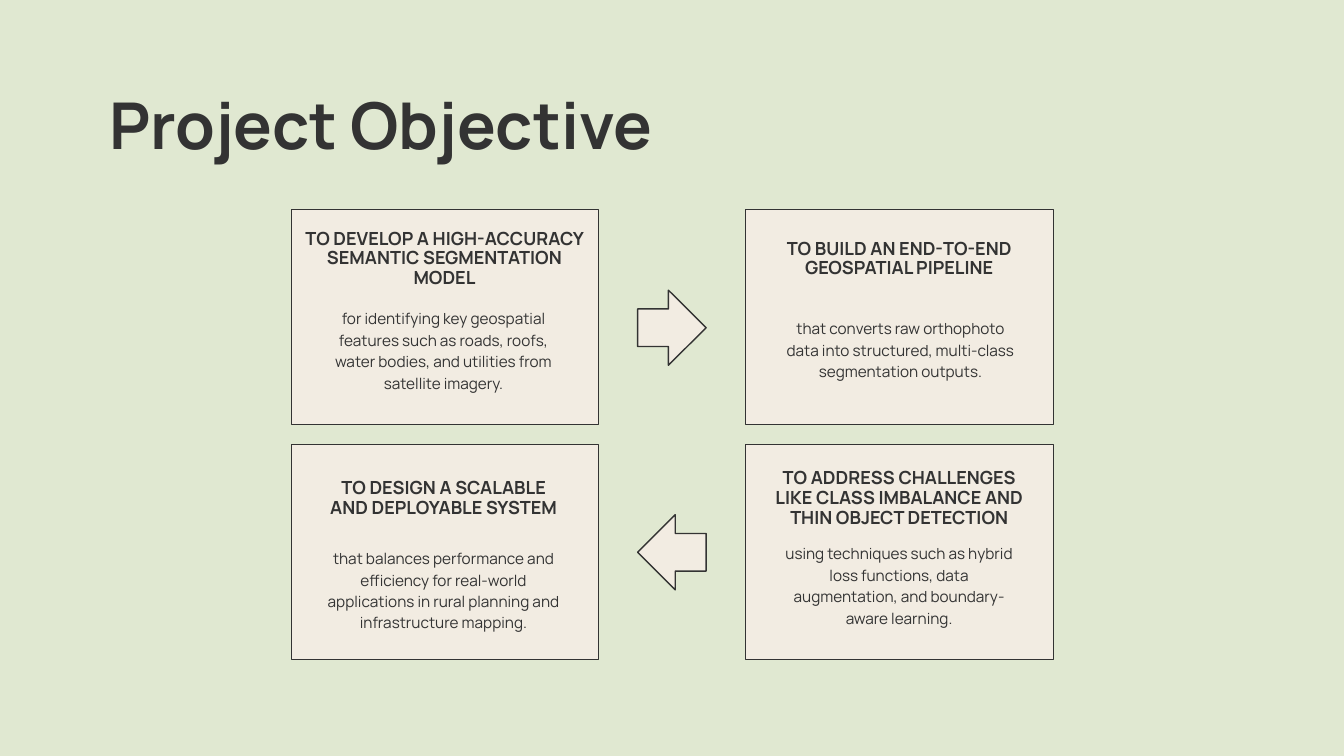
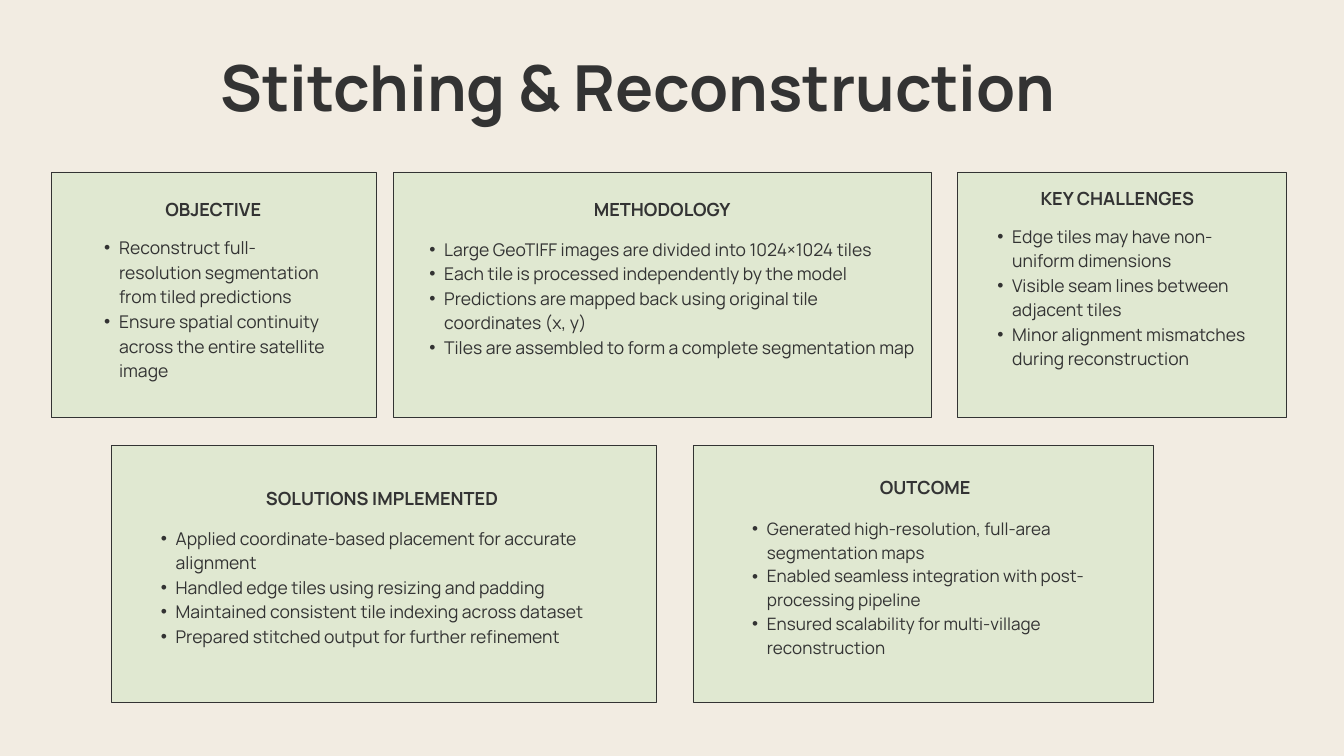
from lxml.etree import SubElement
from pptx import Presentation
from pptx.dml.color import RGBColor
from pptx.enum.shapes import MSO_SHAPE as Shape
from pptx.enum.text import MSO_ANCHOR as Anchor, MSO_AUTO_SIZE as AutoSize, PP_ALIGN as Align
from pptx.oxml.ns import qn
from pptx.util import Cm, Pt

COLORS = {"sage": "E0E8D1", "cream": "F2ECE2", "ink": "333333"}
FONT = "Manrope"

OBJECTIVES = [
    ("TO DEVELOP A HIGH-ACCURACY SEMANTIC SEGMENTATION MODEL", (0.51, 0.76, 10.59, 2.31),
     "for identifying key geospatial features such as roads, roofs, water bodies, "
     "and utilities from satellite imagery.", (1.32, 3.68, 8.89, 3.2)),
    ("TO BUILD AN END-TO-END GEOSPATIAL PIPELINE", (1.07, 1.14, 9.47, 1.57),
     "that converts raw orthophoto data into structured, multi-class segmentation outputs.",
     (1.4, 4.06, 8.89, 2.39)),
    ("TO DESIGN A SCALABLE AND DEPLOYABLE SYSTEM", (1.19, 1.3, 9.17, 1.57),
     "that balances performance and efficiency for real-world applications in rural planning "
     "and infrastructure mapping.", (1.32, 3.86, 8.89, 3.2)),
    ("TO ADDRESS CHALLENGES LIKE CLASS IMBALANCE AND THIN OBJECT DETECTION",
     (0.71, 0.94, 10.19, 2.31),
     "using techniques such as hybrid loss functions, data augmentation, "
     "and boundary-aware learning.", (1.35, 3.68, 8.89, 3.2)),
]

STITCHING = [
    ((1.93, 6.5, 12.3, 9.27), "OBJECTIVE", (0.84, 1.07, 10.59, 0.81),
     ["Reconstruct full-resolution segmentation from tiled predictions",
      "Ensure spatial continuity across the entire satellite image"],
     (1.45, 2.34, 9.42, 5.59), 18.8),
    ((14.86, 6.5, 20.36, 9.27), "METHODOLOGY", (5.44, 1.07, 9.47, 0.81),
     ["Large GeoTIFF images are divided into 1024×1024 tiles",
      "Each tile is processed independently by the model",
      "Predictions are mapped back using original tile coordinates (x, y)",
      "Tiles are assembled to form a complete segmentation map"],
     (0.81, 2.39, 19.02, 5.59), 18.8),
    ((36.2, 6.5, 12.41, 9.27), "KEY CHALLENGES", (1.45, 0.66, 9.17, 0.81),
     ["Edge tiles may have non-uniform dimensions",
      "Visible seam lines between adjacent tiles",
      "Minor alignment mismatches during reconstruction"],
     (0.94, 1.9, 10.16, 6.5), 18.8),
    ((4.22, 16.84, 20.6, 9.7), "SOLUTIONS IMPLEMENTED", (5.13, 1.68, 10.19, 0.81),
     ["Applied coordinate-based placement for accurate alignment",
      "Handled edge tiles using resizing and padding",
      "Maintained consistent tile indexing across dataset",
      "Prepared stitched output for further refinement"],
     (1.3, 2.97, 18.03, 4.65), 18.8),
    ((26.19, 16.84, 17.4, 9.7), "OUTCOME", (3.82, 1.27, 9.93, 0.81),
     ["Generated high-resolution, full-area segmentation maps",
      "Enabled seamless integration with post-processing pipeline",
      "Ensured scalability for multi-village reconstruction"],
     (1.68, 2.62, 14.66, 5.41), 18.3),
]


def color(name):
    return RGBColor.from_string(COLORS[name])


def lengths(box):
    return [Cm(value) for value in box]


def inside(box, offset):
    return box[0] + offset[0], box[1] + offset[1], offset[2], offset[3]


def add_bullet(paragraph):
    properties = paragraph._p.get_or_add_pPr()
    properties.set("marL", str(Cm(1.12)))
    properties.set("indent", str(Cm(-0.56)))
    SubElement(properties, qn("a:buFont"), typeface="Arial")
    SubElement(properties, qn("a:buChar"), char="•")


def write(shape, lines, size, spacing, bold=False, align=Align.CENTER, bullets=False):
    frame = shape.text_frame
    frame.word_wrap = True
    frame.auto_size = AutoSize.SHAPE_TO_FIT_TEXT
    frame.vertical_anchor = Anchor.TOP
    frame.margin_left = frame.margin_right = frame.margin_top = frame.margin_bottom = 0
    frame.text = "\n".join(lines)
    for paragraph in frame.paragraphs:
        if bullets:
            add_bullet(paragraph)
        paragraph.alignment = align
        paragraph.line_spacing = Pt(spacing)
        paragraph.font.name = FONT
        paragraph.font.size = Pt(size)
        paragraph.font.bold = bold
        paragraph.font.color.rgb = color("ink")


def add_text(slide, box, lines, size, spacing, **style):
    write(slide.shapes.add_textbox(*lengths(box)), lines, size, spacing, **style)


def add_outlined(slide, kind, box, fill, line_width):
    shape = slide.shapes.add_shape(kind, *lengths(box))
    shape.shadow.inherit = False
    shape.fill.solid()
    shape.fill.fore_color.rgb = color(fill)
    shape.line.color.rgb = color("ink")
    shape.line.width = Pt(line_width)
    return shape


def add_card(slide, box, fill, heading, heading_offset):
    add_outlined(slide, Shape.RECTANGLE, box, fill, 0.75)
    add_text(slide, inside(box, heading_offset), [heading], 19.4, 21, bold=True)


def add_objective(slide, box, heading, heading_offset, body, body_offset):
    add_card(slide, box, "cream", heading, heading_offset)
    add_text(slide, inside(box, body_offset), [body], 16.4, 23)


def add_bullet_card(slide, box, heading, heading_offset, points, points_offset, size):
    add_card(slide, box, "sage", heading, heading_offset)
    add_text(slide, inside(box, points_offset), points, size, round(size * 1.4, 1),
             align=Align.LEFT, bullets=True)


def add_arrow(slide, kind, box):
    arrow = add_outlined(slide, kind, box, "cream", 1.5)
    arrow.adjustments[0] = 0.5
    arrow.adjustments[1] = 0.55


def add_titled_slide(presentation, background, title, box, size, align):
    slide = presentation.slides.add_slide(presentation.slide_layouts[5])
    slide.background.fill.solid()
    slide.background.fill.fore_color.rgb = color(background)
    shape = slide.shapes.title
    shape.left, shape.top, shape.width, shape.height = lengths(box)
    write(shape, [title], size, round(size * 1.02, 1), bold=True, align=align)
    return slide


def build_objective_slide(presentation):
    slide = add_titled_slide(presentation, "sage", "Project Objective",
                             (1.24, 3.66, 26.31, 2.74), 69.1, Align.CENTER)
    for index, objective in enumerate(OBJECTIVES):
        row, column = divmod(index, 2)
        box = (11 + column * 17.19, 7.9 + row * 8.89, 11.61, 8.13)
        add_objective(slide, box, *objective)
    for kind, top in ((Shape.RIGHT_ARROW, 10.97), (Shape.LEFT_ARROW, 19.46)):
        add_arrow(slide, kind, (24.1, top, 2.59, 2.84))


def build_stitching_slide(presentation):
    slide = add_titled_slide(presentation, "cream", "Stitching & Reconstruction",
                             (8.33, 2.24, 39.62, 2.72), 68, Align.LEFT)
    for card in STITCHING:
        add_bullet_card(slide, *card)


def main():
    presentation = Presentation()
    presentation.slide_width = Cm(50.8)
    presentation.slide_height = Cm(28.58)
    build_objective_slide(presentation)
    build_stitching_slide(presentation)
    presentation.save("out.pptx")


if __name__ == "__main__":
    main()
